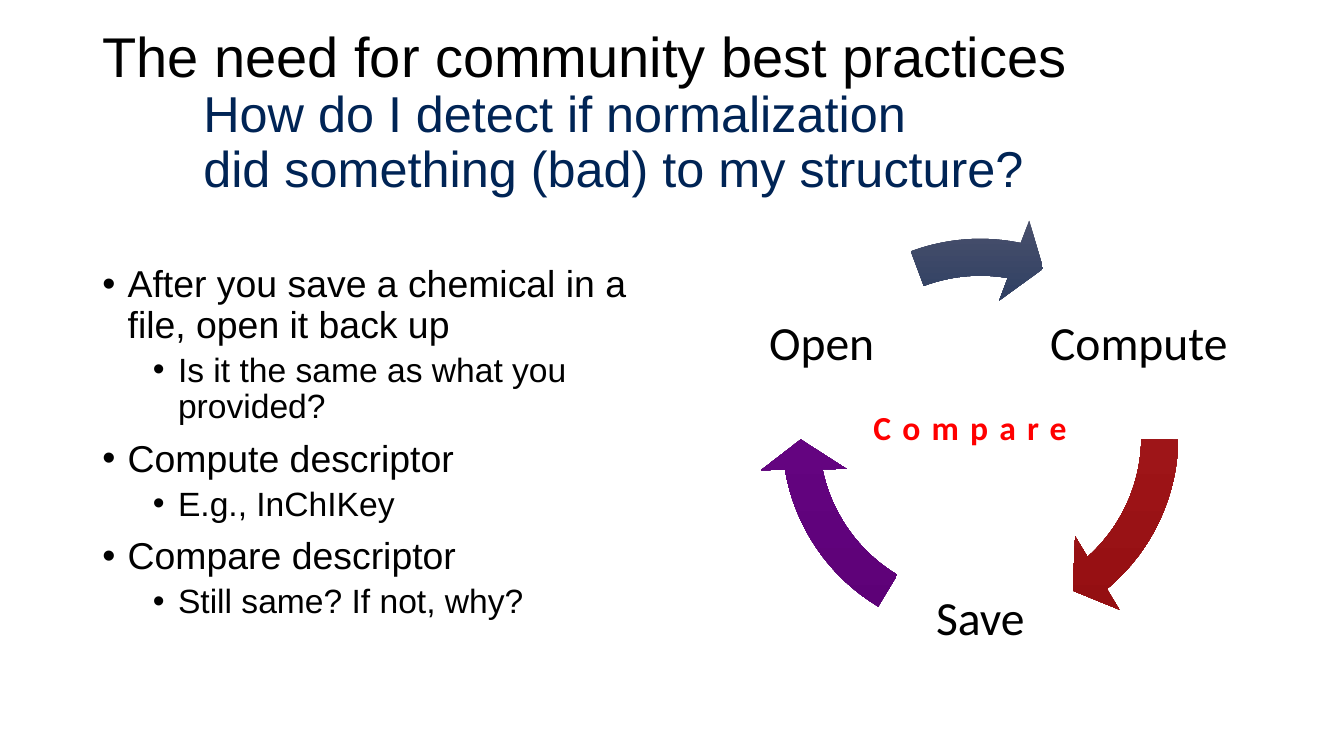
import math

from lxml import etree
from pptx import Presentation, util as u
from pptx.dml.color import RGBColor
from pptx.enum import shapes, text
from pptx.oxml import ns

COLORS = {
    "ink": "000000", "navy": "002455", "alert": "FF0000",
    "red": ("A54E4E", "9E1518", "920D10"),
    "purple": ("764B8B", "640480", "5B0075"),
    "blue": ("4B516C", "002455", "00204C"),
}
CELL = 7.5 / 9  # square grid: 16 columns by 9 rows


def grid(*cells):
    return [u.Inches(cell * CELL) for cell in cells]


def write(para, words, *, size, font="Arial", color="ink", bold=False, align=None,
          line=None, before=0, after=0, left=0, hanging=0, bullet=None, spacing=None):
    """Put words into a paragraph with the given format."""
    props = para._p.get_or_add_pPr()
    props.set("marL", str(u.Inches(left)))
    props.set("indent", str(-u.Inches(hanging)))
    para.alignment = align
    para.line_spacing = line
    para.space_before, para.space_after = u.Pt(before), u.Pt(after)
    if bullet:
        etree.SubElement(props, ns.qn("a:buFont")).set("typeface", "Arial")
        etree.SubElement(props, ns.qn("a:buChar")).set("char", bullet)
    span = para.add_run()
    span.text = words
    span.font.size, span.font.name, span.font.bold = u.Pt(size), font, bold
    span.font.color.rgb = RGBColor.from_string(COLORS[color])
    if spacing:
        span._r.get_or_add_rPr().set("spc", str(spacing * 100))


class CycleSlide:
    """Holds the style and the current slide."""

    def __init__(self, deck):
        self.page = deck.slides.add_slide(deck.slide_layouts[1])

    def fill_placeholder(self, index, place, anchor, lines):
        box = self.page.placeholders[index]
        box.left, box.top, box.width, box.height = grid(*place)
        frame = box.text_frame
        frame.auto_size = text.MSO_AUTO_SIZE.NONE
        frame.vertical_anchor = anchor
        for number, (words, style) in enumerate(lines):
            para = frame.add_paragraph() if number else frame.paragraphs[0]
            style = style if number else {**style, "before": 0}
            write(para, words, align=text.PP_ALIGN.LEFT, line=0.9, **style)

    def label(self, words, place, *, inset=None, anchor=text.MSO_ANCHOR.TOP,
              wrap=True, **style):
        frame = self.page.shapes.add_textbox(*grid(*place)).text_frame
        frame.word_wrap = wrap
        frame.vertical_anchor = anchor
        if inset is not None:
            frame.margin_left = frame.margin_right = u.Inches(inset)
            frame.margin_top = frame.margin_bottom = u.Inches(inset)
        write(frame.paragraphs[0], words, font="Calibri", **style)

    def arc_arrow(self, place, end, start, color):
        arrow = self.page.shapes.add_shape(
            shapes.MSO_SHAPE.CIRCULAR_ARROW, *grid(*place))
        arrow.shadow.inherit = False
        arrow.line.fill.background()
        for number, value in enumerate((0.083, 5.766, end, start, 0.096)):
            arrow.adjustments[number] = value
        # Three gradient stops, running top to bottom
        arrow.fill.gradient()
        gradient = arrow._element.spPr.find(ns.qn("a:gradFill"))
        stops = gradient.find(ns.qn("a:gsLst"))
        for stop in list(stops):
            stops.remove(stop)
        for position, shade in zip((0, 50000, 100000), COLORS[color]):
            stop = etree.SubElement(stops, ns.qn("a:gs"), pos=str(position))
            etree.SubElement(stop, ns.qn("a:srgbClr"), val=shade)
        gradient.find(ns.qn("a:lin")).set("ang", "5400000")


def main():
    deck = Presentation()
    deck.slide_width, deck.slide_height = grid(16, 9)
    slide = CycleSlide(deck)

    # Title with an indented question
    heading = {"size": 40}
    question = {"size": 36, "color": "navy", "left": 1}
    slide.fill_placeholder(0, (1.1, 0.48, 13.8, 1.74), text.MSO_ANCHOR.MIDDLE, [
        ("The need for community best practices", heading),
        ("How do I detect if normalization", question),
        ("did something (bad) to my structure?", question),
    ])

    # Steps of the check
    step = {"size": 26.7, "before": 10, "left": 0.25, "hanging": 0.25, "bullet": "•"}
    detail = {**step, "size": 24, "before": 5, "left": 0.75}
    slide.fill_placeholder(1, (1.1, 3.1, 6.8, 4.66), text.MSO_ANCHOR.TOP, [
        ("After you save a chemical in a file, open it back up", step),
        ("Is it the same as what you provided?", detail),
        ("Compute descriptor", step),
        ("E.g., InChIKey", detail),
        ("Compare descriptor", step),
        ("Still same? If not, why?", detail),
    ])

    # Cycle: a label every 120 degrees, each followed by its arrow
    center_x, center_y, radius = 11.67, 5.2, 2.18
    label_size, ring_size = 2.24, 5.29
    ring = (center_x - ring_size / 2, center_y - ring_size / 2, ring_size, ring_size)
    cycle = [
        ("Compute", 29.614, 0.533, "red"),
        ("Save", 101.7, 72.619, "purple"),
        ("Open", 168.545, 149.689, "blue"),
    ]
    for number, (words, end, start, color) in enumerate(cycle):
        angle = math.radians(120 * number - 30)
        left = center_x + radius * math.cos(angle) - label_size / 2
        top = center_y + radius * math.sin(angle) - label_size / 2
        slide.label(words, (left, top, label_size, label_size), inset=0.05,
                    anchor=text.MSO_ANCHOR.MIDDLE, size=34, line=0.9, after=11.9,
                    align=text.PP_ALIGN.CENTER)
        slide.arc_arrow(ring, end, start, color)

    # Center of the cycle
    slide.label("Compare", (10.28, 4.79, 2.7, 0.6), wrap=False, size=24,
                color="alert", bold=True, spacing=8)

    deck.save("out.pptx")


if __name__ == "__main__":
    main()
